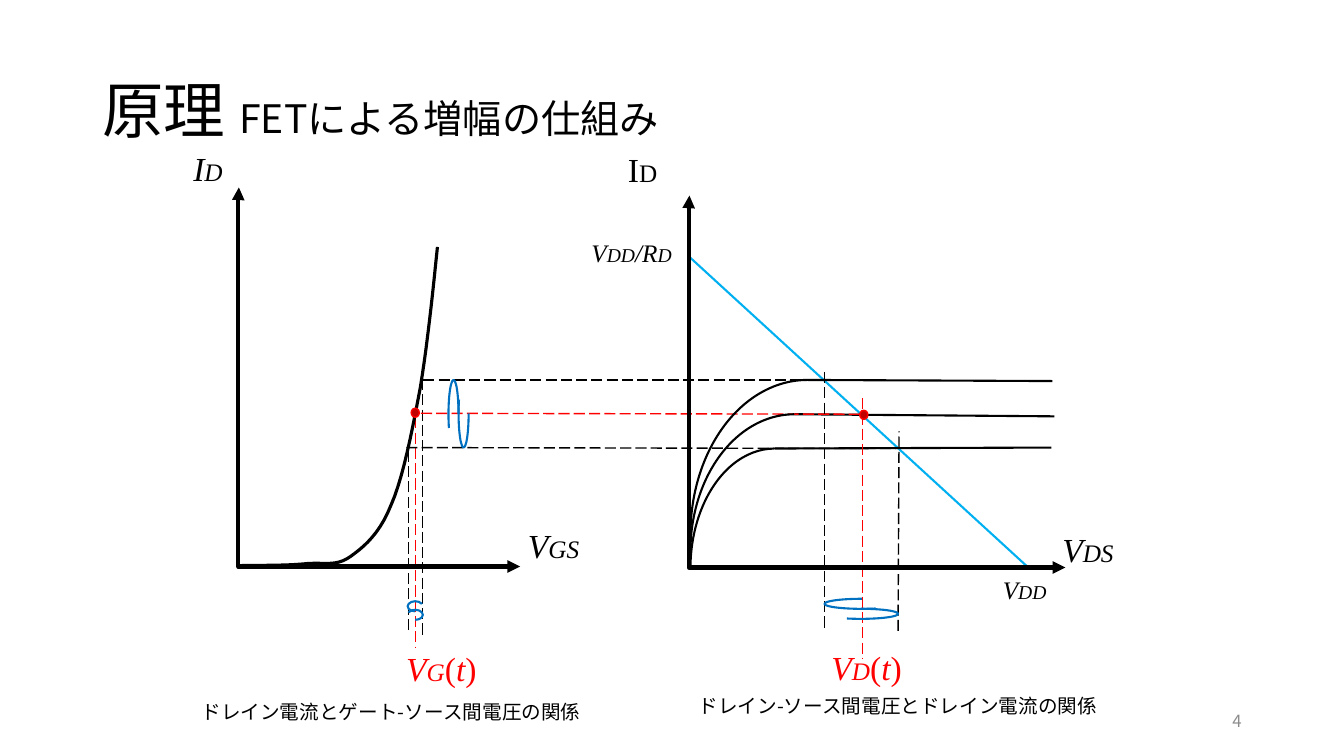
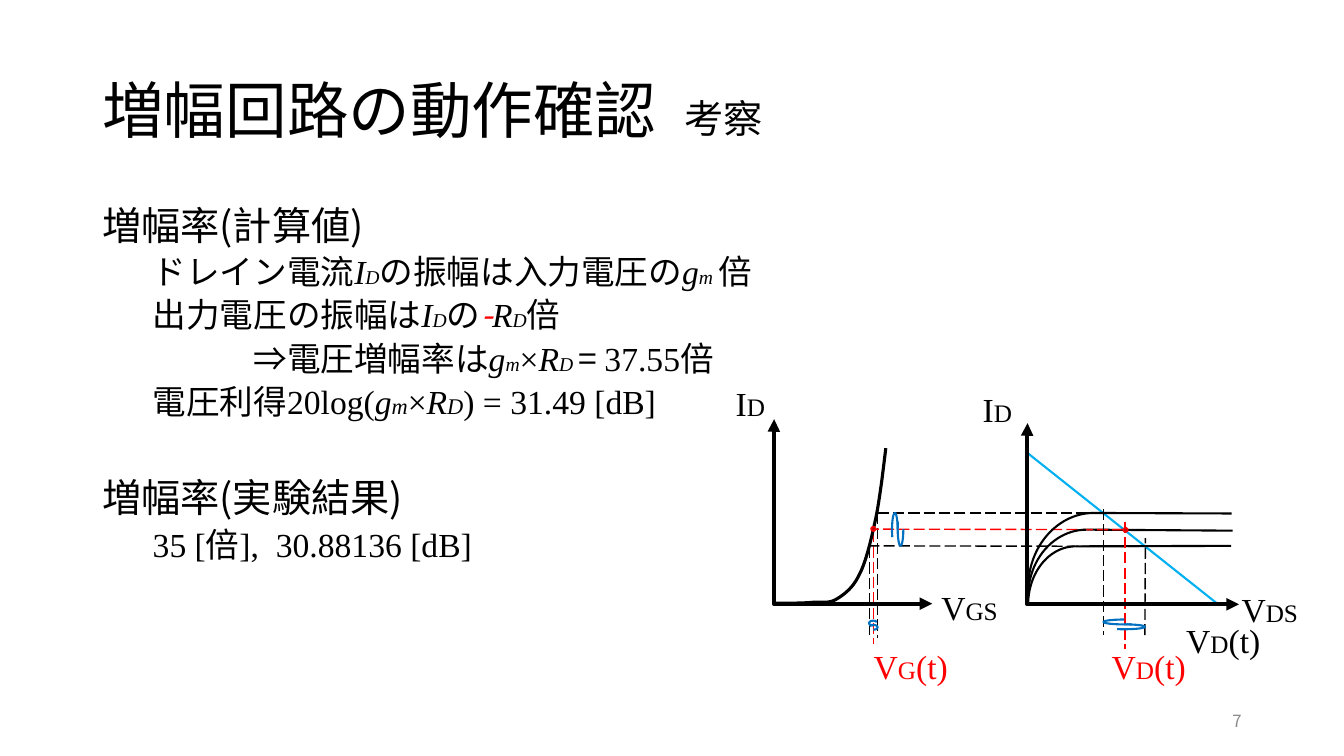
"""Build two slides on FET amplification that share one load-line diagram."""
from lxml import etree
from pptx import Presentation
from pptx import util as u
from pptx.dml import color
from pptx.enum import dml, shapes, text
from pptx.oxml import ns

SANS, SERIF = "Noto Sans CJK JP", "Times New Roman"
BLACK, RED, GREY = "000000", "FF0000", "8C8C8C"
BLUE, SKY, DARK_RED = "0070C0", "00B0F0", "C00000"
BASE_LEFT, BASE_BOTTOM, BASE_WIDTH, BASE_HEIGHT = 170.64, 404.64, 582.5, 270.7
ink = color.RGBColor.from_string


def write(page, area, paras, middle=False, right=False):
    """Add a text box; a para is (indent, space before, line spacing, runs)."""
    box = page.shapes.add_textbox(*[u.Pt(v) for v in area])
    frame = box.text_frame
    frame.word_wrap = True
    frame.vertical_anchor = text.MSO_ANCHOR.MIDDLE if middle else text.MSO_ANCHOR.TOP
    for index, (indent, before, spacing, runs) in enumerate(paras):
        para = frame.add_paragraph() if index else frame.paragraphs[0]
        layout = {"space_before": u.Pt(before), "line_spacing": spacing,
                  "alignment": text.PP_ALIGN.RIGHT if right else text.PP_ALIGN.LEFT}
        for name, value in layout.items():
            setattr(para, name, value)
        para._p.get_or_add_pPr().set("marL", str(u.Pt(indent)))
        for words, size, flags in runs:
            span = para.add_run()
            span.text = words
            look = {"name": SERIF if "t" in flags else SANS,
                    "size": u.Pt(size), "italic": "i" in flags}
            for name, value in look.items():
                setattr(span.font, name, value)
            span.font.color.rgb = ink(RED if "r" in flags else GREY if "g" in flags else BLACK)
            east = etree.SubElement(span.font._element, ns.qn("a:ea"))
            east.set("typeface", SANS)


def place(frame, x, y):
    """Map a point of the base diagram into a frame."""
    left, bottom, width, height = frame
    return (u.Pt(left + (x - BASE_LEFT) * width / BASE_WIDTH),
            u.Pt(bottom + (y - BASE_BOTTOM) * height / BASE_HEIGHT))


axes = [(492.5, 139.7, 761, 405.4), (170.64, 133.9, 371.5, 404.64)]
solid_lines = [
    (491.8, 182.9, 733.7, 404.64, SKY),
    (576.7, 271.4, 751.7, 272.2, BLACK),
    (567.4, 295.9, 753.1, 297.4, BLACK),
    (553.7, 320.4, 751, 319.7, BLACK),
]
dashed_lines = [
    (296.6, 298.1, 296.6, 463, RED),
    (301.7, 270.7, 301.7, 455, BLACK),
    (291.6, 450, 291.6, 318.2, BLACK),
    (302.4, 271.4, 589, 271.4, BLACK),
    (614.2, 295.9, 298.8, 295.2, RED),
    (290.2, 319.7, 640.1, 320.4, BLACK),
    (589, 265.7, 589, 450, BLACK),
    (641.5, 450.7, 642.2, 308.2, BLACK),
    (616.3, 284.4, 616.3, 470.9, RED),
]
transfer_curve = [
    (172.8, 403.9), (190.1, 403.9), (207.4, 403.9), (220.3, 402.5),
    (233.3, 401.8), (240.5, 404.6), (250.6, 397.4), (260.6, 390.2),
    (271.4, 380.9), (279.4, 360.7), (288, 341.3), (294.5, 307.4),
    (300.2, 277.2), (305.3, 246.2), (308.9, 211.7), (312.5, 176.4),
]
operating_points = [(617, 296.3), (296.6, 294.8)]
wave_halves = [
    (324, 295.9, 7.2, 49, 0, False), (331.2, 295.2, 7.2, 49, 0, True),
    (296.6, 433.1, 10.8, 7.2, 90, True), (296.6, 439.2, 10.8, 7.2, 90, False),
    (614.9, 438.5, 53.3, 7.2, 270, True), (615.6, 431.3, 53.3, 7.2, 270, False),
]
saturation_arcs = [(320.4, 120.2), (295.9, 148.3), (271.4, 167)]
ARC_LEFT, ARC_BOTTOM, STEPS = 493.2, 491.8, 10

body = [
    (0, 10, 0.9, [("増幅率(計算値)", 28, "")]),
    (36, 5, 0.9, [("ドレイン電流", 24, ""), ("I", 24, "ti"), ("D", 14, "ti"),
                  ("の振幅は入力電圧の", 24, ""), ("g", 24, "ti"), ("m ", 14, "ti"),
                  ("倍", 24, "")]),
    (36, 5, 0.9, [("出力電圧の振幅は", 24, ""), ("I", 24, "ti"), ("D", 14, "ti"),
                  ("の", 24, ""), ("-", 24, "ir"), ("R", 24, "ti"), ("D", 14, "ti"),
                  ("倍", 24, "")]),
    (108, 5, 0.9, [("⇒電圧増幅率は", 24, ""), ("g", 24, "ti"), ("m", 14, "ti"),
                   ("×", 24, "t"), ("R", 24, "ti"), ("D ", 14, "ti"), ("= ", 24, ""),
                   ("37.55", 24, "t"), ("倍", 24, "")]),
    (36, 5, 0.9, [("電圧利得", 24, ""), ("20log(", 24, "t"), ("g", 24, "ti"),
                  ("m", 16, "ti"), ("×", 24, "t"), ("R", 24, "ti"), ("D", 16, "ti"),
                  (") = 31.49 [dB]", 24, "t")]),
    (0, 41, 0.9, [("増幅率(実験結果)", 28, "")]),
    (36, 5, 0.9, [("35 [倍],  30.88136 [dB]", 24, "t")]),
]
principle_labels = [
    (131, 102.2, 114, [("I", 24, "ti"), ("D", 18, "ti")]),
    (441.4, 103, 142, [("I", 24, "t"), ("D", 18, "t")]),
    (751.7, 374.4, 142, [("V", 24, "ti"), ("DS", 18, "ti")]),
    (370, 371.5, 142, [("V", 24, "ti"), ("GS", 18, "ti")]),
    (415.4, 166.3, 80, [("V", 18, "ti"), ("DD", 14, "ti"), ("/R", 18, "ti"), ("D", 14, "ti")]),
    (709.2, 406.8, 60, [("V", 18, "ti"), ("DD", 14, "ti")]),
    (136.8, 496.1, 289.4, [("ドレイン電流とゲート-ソース間電圧の関係", 14, "")]),
    (491.8, 491.8, 303.1, [("ドレイン-ソース間電圧とドレイン電流の関係", 14, "")]),
]
for x, y, name in [(283, 459.4, "G"), (586.8, 458.6, "D")]:
    principle_labels.append((x, y, 142, [("V", 24, "tir"), (name, 18, "tir"), ("(", 24, "tr"),
                                         ("t", 24, "tir"), (")", 24, "tr")]))
check_labels = []
for x, y, letter, small, rest, flags in [
    (518.4, 270, "I", "D", "", "t"), (694.8, 274.3, "I", "D", "", "t"),
    (879.8, 416.9, "V", "DS", "", "t"), (665.3, 415.4, "V", "GS", "", "t"),
    (840.2, 439.2, "V", "D", "(t)", "t"), (617, 457.9, "V", "G", "(t)", "tr"),
    (787, 457.9, "V", "D", "(t)", "tr"),
]:
    runs = [(letter, 24, flags), (small, 18, flags), (rest, 24, flags)]
    check_labels.append((x, y, 80, [run for run in runs if run[0]]))

pages = [
    (("原理 ", "FETによる増幅の仕組み"), "4", [], principle_labels,
     (BASE_LEFT, BASE_BOTTOM, BASE_WIDTH, BASE_HEIGHT)),
    (("増幅回路の動作確認  ", "考察"), "7", body, check_labels, (552.96, 431.28, 327.6, 131.8)),
]

deck = Presentation()
deck.slide_width, deck.slide_height = u.Pt(960), u.Pt(540)
for (title, subtitle), number, body_paras, labels, frame in pages:
    page = deck.slides.add_slide(deck.slide_layouts[6])
    write(page, (66, 28.75, 828, 104.4), [(0, 0, 0.9, [(title, 44, ""), (subtitle, 28, "")])],
          middle=True)
    write(page, (678, 500.5, 216, 28.75), [(0, 0, 1.0, [(number, 12, "g")])],
          middle=True, right=True)
    if body_paras:
        write(page, (66, 143.75, 503, 342.6), body_paras)

    marks = []
    for lines, dashed in [(solid_lines, False), (dashed_lines, True)]:
        for x1, y1, x2, y2, hue in lines:
            line = page.shapes.add_connector(shapes.MSO_CONNECTOR.STRAIGHT,
                                             *place(frame, x1, y1), *place(frame, x2, y2))
            if dashed:
                line.line.dash_style = dml.MSO_LINE.LONG_DASH
            marks.append((line, hue, 1 if dashed else 1.5))

    for x1, y1, x2, y2 in axes:
        axis = page.shapes.add_connector(shapes.MSO_CONNECTOR.ELBOW,
                                         *place(frame, x1, y1), *place(frame, x2, y2))
        guides = axis._element.spPr.find(ns.qn("a:prstGeom")).find(ns.qn("a:avLst"))
        etree.SubElement(guides, ns.qn("a:gd"), name="adj1", fmla="val -200")
        axis.line.color.rgb = ink(BLACK)
        outline = axis._element.spPr.find(ns.qn("a:ln"))
        for end in ("a:headEnd", "a:tailEnd"):
            etree.SubElement(outline, ns.qn(end), type="triangle")
        marks.append((axis, BLACK, 3))

    points = []
    for start in range(0, len(transfer_curve) - 1, 3):
        a, b, c, d = transfer_curve[start:start + 4]
        for t in [step / STEPS for step in range(STEPS + 1)]:
            s = 1 - t
            x, y = [s**3 * a[k] + 3 * s * s * t * b[k] + 3 * s * t * t * c[k] + t**3 * d[k]
                    for k in (0, 1)]
            points.append(place(frame, x, y))
    builder = page.shapes.build_freeform(*points[0], scale=1.0)
    builder.add_line_segments(points[1:], close=False)
    curve = builder.convert_to_shape()
    curve.fill.background()
    marks.append((curve, BLACK, 2.25))

    ovals = [(x, y, 5.8, 6.5, 0, None) for x, y in operating_points]
    arcs = [(ARC_LEFT + width / 2, (top + ARC_BOTTOM) / 2, width, ARC_BOTTOM - top, 0, "flipH")
            for top, width in saturation_arcs]
    waves = [(*half[:5], "flipV" if half[5] else None) for half in wave_halves]
    for kind, group, hue, weight in [("dot", ovals, RED, 1), ("wave", waves, BLUE, 1.5),
                                     ("saturation", arcs, BLACK, 1.5)]:
        preset = shapes.MSO_SHAPE.OVAL if kind == "dot" else shapes.MSO_SHAPE.ARC
        for x, y, width, height, angle, flip in group:
            left, top = place(frame, x - width / 2, y - height / 2)
            right, bottom = place(frame, x + width / 2, y + height / 2)
            wide, high = right - left, bottom - top
            if angle:
                left, top = left + (wide - high) // 2, top + (high - wide) // 2
                wide, high = high, wide
            mark = page.shapes.add_shape(preset, left, top, wide, high)
            mark.rotation = angle
            if flip:
                mark._element.spPr.find(ns.qn("a:xfrm")).set(flip, "1")
            if kind == "wave":
                mark.adjustments[0] = 65.13
            if kind == "dot":
                mark.fill.solid()
                mark.fill.fore_color.rgb = ink(DARK_RED)
            else:
                mark.fill.background()
            marks.append((mark, hue, weight))

    for mark, hue, weight in marks:
        mark.line.color.rgb = ink(hue)
        mark.line.width = u.Pt(weight)
        etree.SubElement(mark._element.spPr, ns.qn("a:effectLst"))

    for x, y, width, runs in labels:
        write(page, (x, y, width, 36), [(0, 0, 1.0, runs)])

deck.save("out.pptx")
